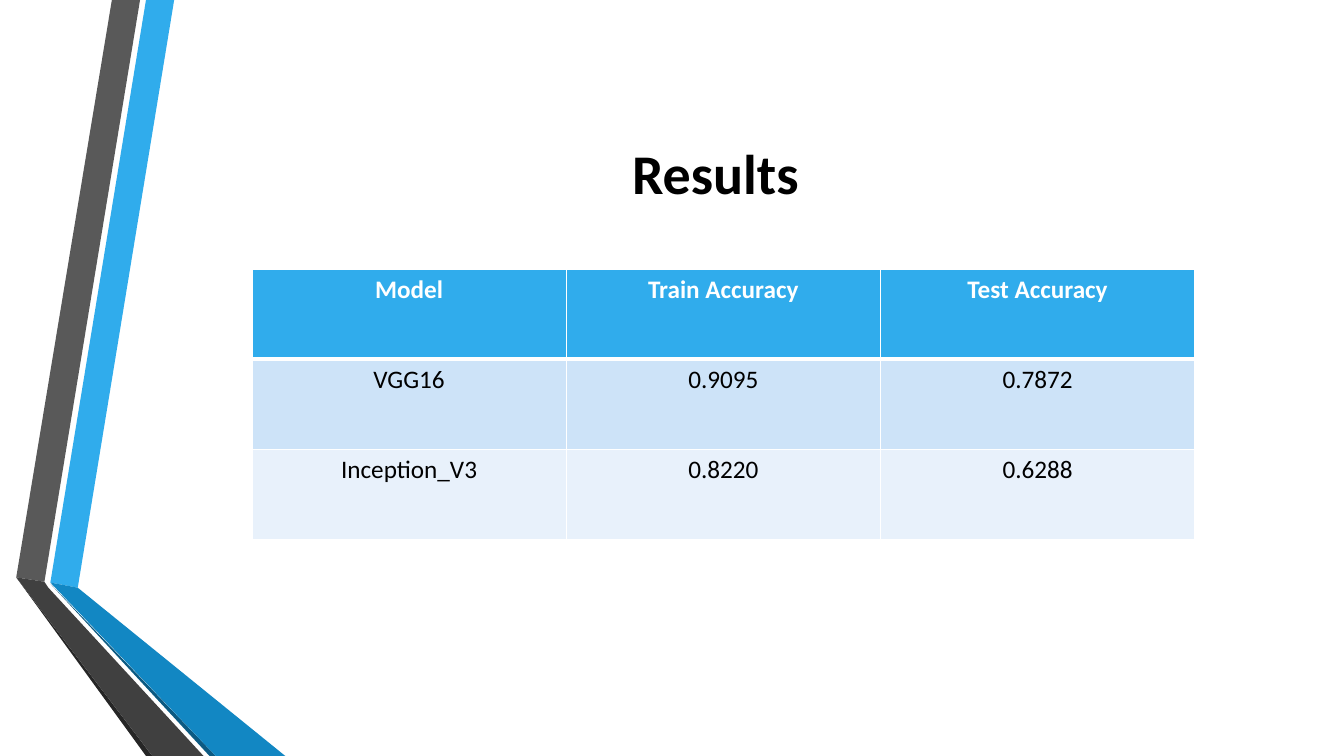
import pptx
import pptx.dml.color
import pptx.enum.text
import pptx.oxml
import pptx.oxml.ns
import pptx.util
from dataclasses import dataclass

Cm = pptx.util.Cm
Pt = pptx.util.Pt


@dataclass(frozen=True)
class Theme:
    font: str = "Calibri"
    title_size: int = 40
    table_size: int = 18
    black: str = "000000"
    white: str = "FFFFFF"
    blue: str = "30ACEC"
    blue_dark: str = "1287C3"
    blue_deep: str = "0C5A82"
    gray: str = "595959"
    gray_dark: str = "404040"
    gray_deep: str = "262626"
    row_fills: tuple = ("CDE3F8", "E8F1FB")
    thin_border: int = 1
    header_border: int = 3


class SlideBuilder:
    def __init__(self, slide, theme):
        self.slide = slide
        self.theme = theme

    def fill(self, target, color):
        target.fill.solid()
        target.fill.fore_color.rgb = pptx.dml.color.RGBColor.from_string(color)

    def set_text(self, frame, text, size, color, bold):
        para = frame.paragraphs[0]
        para.text = text
        para.alignment = pptx.enum.text.PP_ALIGN.CENTER
        para.font.name = self.theme.font
        para.font.size = Pt(size)
        para.font.bold = bold
        para.font.color.rgb = pptx.dml.color.RGBColor.from_string(color)

    def ribbon(self, color, points):
        start, *rest = [(Cm(x), Cm(y)) for x, y in points]
        builder = self.slide.shapes.build_freeform(*start)
        builder.add_line_segments(rest, close=True)
        shape = builder.convert_to_shape()
        shape.shadow.inherit = False
        self.fill(shape, color)
        shape.line.fill.background()

    def title(self, text, left, top, width, height):
        box = self.slide.shapes.add_textbox(Cm(left), Cm(top), Cm(width), Cm(height))
        frame = box.text_frame
        frame.word_wrap = True
        frame.vertical_anchor = pptx.enum.text.MSO_ANCHOR.MIDDLE
        self.set_text(frame, text, self.theme.title_size, self.theme.black, True)

    def borders(self, cell, top, bottom):
        properties = cell._tc.get_or_add_tcPr()
        thin = self.theme.thin_border
        sides = (("lnL", thin), ("lnR", thin), ("lnT", top), ("lnB", bottom))
        for position, (side, width) in enumerate(sides):
            line = pptx.oxml.parse_xml(
                f'<a:{side} {pptx.oxml.ns.nsdecls("a")} w="{Pt(width)}"><a:solidFill>'
                f'<a:srgbClr val="{self.theme.white}"/></a:solidFill></a:{side}>')
            properties.insert(position, line)

    def table(self, rows, left, top, column_width, row_height):
        theme = self.theme
        count = len(rows[0])
        table = self.slide.shapes.add_table(
            len(rows), count, Cm(left), Cm(top),
            Cm(column_width * count), Cm(row_height * len(rows))).table
        for column in table.columns:
            column.width = Cm(column_width)
        for r, values in enumerate(rows):
            table.rows[r].height = Cm(row_height)
            header = r == 0
            fill = theme.blue if header else theme.row_fills[(r - 1) % 2]
            color = theme.white if header else theme.black
            top_width = theme.header_border if r == 1 else theme.thin_border
            bottom_width = theme.header_border if header else theme.thin_border
            for c, value in enumerate(values):
                cell = table.cell(r, c)
                self.fill(cell, fill)
                self.borders(cell, top_width, bottom_width)
                self.set_text(cell.text_frame, value, theme.table_size, color, header)


def main():
    deck = pptx.Presentation()
    deck.slide_width, deck.slide_height = Cm(33.87), Cm(19.05)
    theme = Theme()
    page = SlideBuilder(deck.slides.add_slide(deck.slide_layouts[6]), theme)

    # Folded ribbons on the left edge
    bottom = 19.05
    ribbons = (
        (theme.blue, [(1.27, 14.68), (1.96, 14.81), (4.39, 0), (3.68, 0)]),
        (theme.gray, [(3.53, 0), (2.82, 0), (0.41, 14.55), (1.12, 14.66)]),
        (theme.gray_deep, [(0.41, 14.55), (3.68, bottom), (3.84, bottom)]),
        (theme.blue_deep, [(1.27, 14.71), (5.28, bottom), (5.44, bottom)]),
        (theme.blue_dark, [(1.27, 14.68), (5.44, bottom), (7.19, bottom), (1.96, 14.81)]),
        (theme.gray_dark, [(5.13, bottom), (1.22, 14.81), (1.12, 14.66),
                           (0.41, 14.55), (3.84, bottom)]),
    )
    for color, points in ribbons:
        page.ribbon(color, points)

    # Accuracy table
    page.table([
        ("Model", "Train Accuracy", "Test Accuracy"),
        ("VGG16", "0.9095", "0.7872"),
        ("Inception_V3", "0.8220", "0.6288"),
    ], left=6.35, top=6.78, column_width=7.92, row_height=2.27)

    # Title
    page.title("Results", left=4.11, top=1.9, width=27.84, height=4.88)

    deck.save("out.pptx")


if __name__ == "__main__":
    main()
